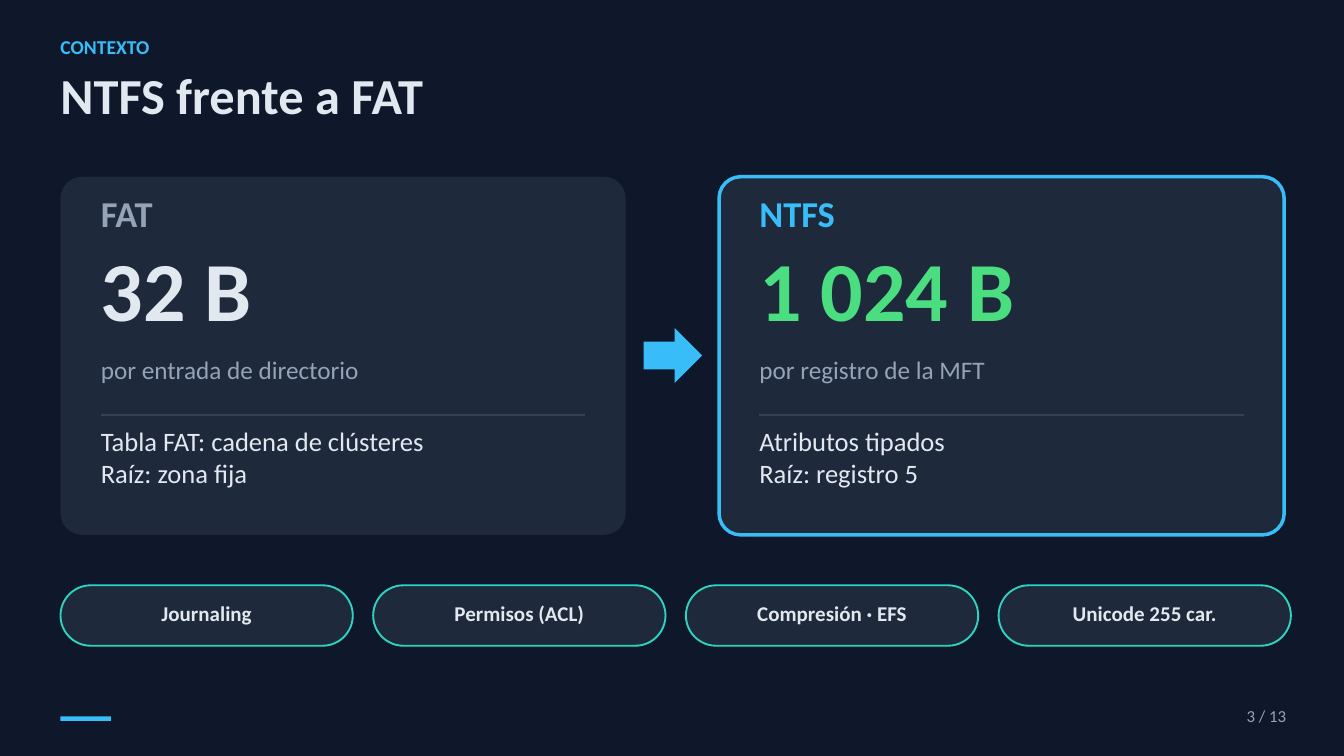
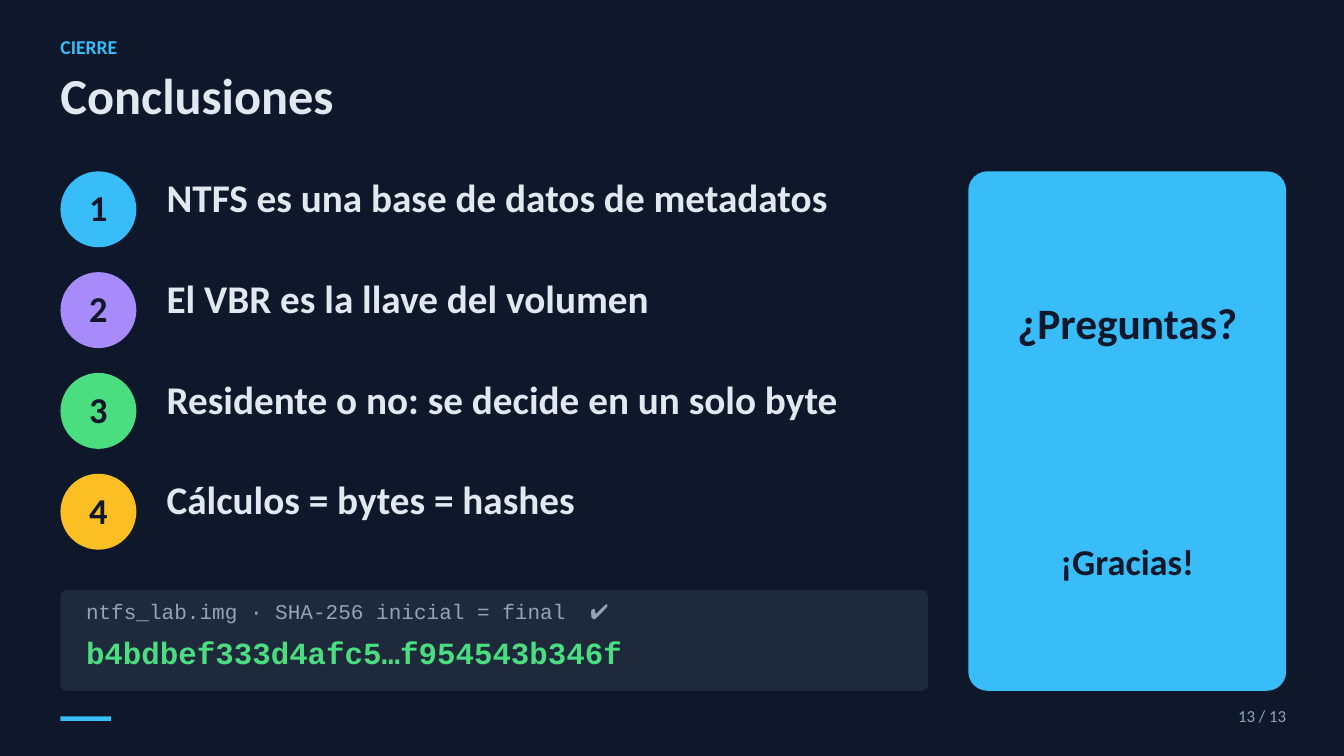
"""Builds two slides on NTFS: the comparison with FAT and the conclusions."""
from dataclasses import dataclass

from lxml import etree
from pptx import Presentation
from pptx import util as u
from pptx.dml.color import RGBColor
from pptx.enum import shapes, text
from pptx.oxml.ns import qn

COMPARISON = {
    "section": "CONTEXTO",
    "title": "NTFS frente a FAT",
    "page": "3 / 13",
    "systems": [
        {"name": "FAT", "size": "32 B", "unit": "por entrada de directorio",
         "traits": ["Tabla FAT: cadena de clústeres", "Raíz: zona fija"],
         "name_color": "muted", "size_color": "ink", "outline": None},
        {"name": "NTFS", "size": "1 024 B", "unit": "por registro de la MFT",
         "traits": ["Atributos tipados", "Raíz: registro 5"],
         "name_color": "sky", "size_color": "green", "outline": "sky"},
    ],
    "features": ["Journaling", "Permisos (ACL)", "Compresión · EFS", "Unicode 255 car."],
}
CLOSING = {
    "section": "CIERRE",
    "title": "Conclusiones",
    "page": "13 / 13",
    "conclusions": [
        ("NTFS es una base de datos de metadatos", "sky"),
        ("El VBR es la llave del volumen", "violet"),
        ("Residente o no: se decide en un solo byte", "green"),
        ("Cálculos = bytes = hashes", "amber"),
    ],
    "check": "ntfs_lab.img · SHA-256 inicial = final\t✔",
    "hash": "b4bdbef333d4afc5…f954543b346f",
    "questions": "¿Preguntas?",
    "thanks": "¡Gracias!",
}


@dataclass(frozen=True)
class Theme:
    night: str = "0F172A"
    panel: str = "1E293B"
    rule: str = "334155"
    ink: str = "E2E8F0"
    muted: str = "94A3B8"
    sky: str = "38BDF8"
    green: str = "4ADE80"
    violet: str = "A78BFA"
    amber: str = "FBBF24"
    teal: str = "2DD4BF"
    sans: str = "Calibri"
    mono: str = "Courier New"
    page: float = 18
    section: float = 21
    label: float = 22.5
    unit: float = 27
    trait: float = 28.5
    hash: float = 33
    heading: float = 39
    conclusion: float = 42
    questions: float = 46.5
    title: float = 54
    figure: float = 90
    leading: float = 1.2
    corner: float = 0.06


THEME = Theme()
WIDTH, HEIGHT = 2000, 1125
LEFT, RIGHT = 90, 1914
KINDS = shapes.MSO_SHAPE
ALIGN = text.PP_ALIGN


def px(length):
    return u.Emu(round(length * 9144))


def rgb(color):
    return RGBColor.from_string(getattr(THEME, color))


def write(frame, lines, size, color, bold=False, align=ALIGN.LEFT, font=THEME.sans):
    frame.word_wrap = True
    points = getattr(THEME, size)
    for index, line in enumerate(lines):
        paragraph = frame.paragraphs[0] if index == 0 else frame.add_paragraph()
        paragraph.alignment = align
        paragraph.line_spacing = u.Pt(points * THEME.leading)
        run = paragraph.add_run()
        run.text = line
        run.font.name = font
        run.font.size = u.Pt(points)
        run.font.bold = bold
        run.font.color.rgb = rgb(color)


def set_margins(frame, left, top, right, bottom):
    frame.margin_left, frame.margin_top = px(left), px(top)
    frame.margin_right, frame.margin_bottom = px(right), px(bottom)


def add_text(slide, box, lines, size, color, **style):
    frame = slide.shapes.add_textbox(*map(px, box)).text_frame
    set_margins(frame, 0, 0, 0, 0)
    write(frame, lines, size, color, **style)
    return frame


def add_block(slide, kind, box, fill, outline=None, weight=0, corner=None):
    block = slide.shapes.add_shape(kind, *map(px, box))
    block.shadow.inherit = False
    block.fill.solid()
    block.fill.fore_color.rgb = rgb(fill)
    if outline:
        block.line.color.rgb = rgb(outline)
        block.line.width = u.Pt(weight)
    else:
        block.line.fill.background()
    if corner is not None:
        block.adjustments[0] = corner
    return block


def add_panel(slide, box, fill, outline=None, weight=0):
    add_block(slide, KINDS.ROUNDED_RECTANGLE, box, fill, outline, weight, THEME.corner)


def write_centred(block, label, size, color):
    frame = block.text_frame
    frame.vertical_anchor = text.MSO_ANCHOR.MIDDLE
    set_margins(frame, 6, 0, 6, 6)
    write(frame, [label], size, color, bold=True, align=ALIGN.CENTER)


def add_rule(slide, left, right, y):
    rule = slide.shapes.add_connector(
        shapes.MSO_CONNECTOR.STRAIGHT, px(left), px(y), px(right), px(y))
    rule.line.color.rgb = rgb("rule")
    rule.line.width = u.Pt(2)
    etree.SubElement(rule._element.spPr, qn("a:effectLst"))


def add_tab(paragraph, position):
    tabs = etree.SubElement(paragraph._p.get_or_add_pPr(), qn("a:tabLst"))
    etree.SubElement(tabs, qn("a:tab"), pos=str(px(position)), algn="l")


def start_slide(deck, content):
    slide = deck.slides.add_slide(deck.slide_layouts[6])
    add_text(slide, (LEFT, 52, 1351, 50), [content["section"]], "section", "sky", bold=True)
    add_text(slide, (LEFT, 96, 1816, 133), [content["title"]], "title", "ink", bold=True)
    add_text(slide, (1681, 1050, RIGHT - 1681, 49), [content["page"]], "page", "muted",
             align=ALIGN.RIGHT)
    add_block(slide, KINDS.RECTANGLE, (LEFT, 1066, 75, 7), "sky")
    return slide


def add_system(slide, left, system):
    add_panel(slide, (left, 263, 841, 533), "panel", system["outline"], 3.75)
    inner = left + 60
    add_text(slide, (inner, 284, 600, 83), [system["name"]], "heading",
             system["name_color"], bold=True)
    add_text(slide, (inner, 354, 751, 171), [system["size"]], "figure",
             system["size_color"], bold=True)
    add_text(slide, (inner, 527, 751, 66), [system["unit"]], "unit", "muted")
    add_rule(slide, inner, inner + 721, 617)
    add_text(slide, (inner, 632, 751, 141), system["traits"], "trait", "ink")


def build_comparison(deck):
    slide = start_slide(deck, COMPARISON)
    for index, system in enumerate(COMPARISON["systems"]):
        add_system(slide, LEFT + index * 980, system)
    add_block(slide, KINDS.RIGHT_ARROW, (958, 488, 87, 82), "sky")

    features = COMPARISON["features"]
    pill_width, pills_right = 435, 1921
    pitch = (pills_right - pill_width - LEFT) / (len(features) - 1)
    for index, feature in enumerate(features):
        pill = add_block(slide, KINDS.ROUNDED_RECTANGLE,
                         (LEFT + index * pitch, 871, pill_width, 90),
                         "panel", "teal", 2, 0.5)
        write_centred(pill, feature, "label", "ink")


def build_closing(deck):
    slide = start_slide(deck, CLOSING)
    top, bottom, pitch, diameter = 255, 1028, 150, 113
    for index, (conclusion, color) in enumerate(CLOSING["conclusions"]):
        y = top + index * pitch
        badge = add_block(slide, KINDS.OVAL, (LEFT, y, diameter, diameter), color)
        write_centred(badge, str(index + 1), "heading", "night")
        add_text(slide, (248, y + 3, 1150, 99), [conclusion], "conclusion", "ink", bold=True)

    add_panel(slide, (LEFT, 878, 1291, bottom - 878), "panel")
    check = add_text(slide, (128, 890, 1231, 59), [CLOSING["check"]], "label", "muted",
                     font=THEME.mono)
    add_tab(check.paragraphs[0], 750)
    add_text(slide, (128, 943, 1231, 75), [CLOSING["hash"]], "hash", "green", bold=True,
             font=THEME.mono)

    aside, aside_width = 1441, RIGHT - 1441
    add_panel(slide, (aside, top, aside_width, bottom - top), "sky")
    for part, y, height, size in (("questions", 440, 191, "questions"),
                                  ("thanks", 802, 98, "heading")):
        add_text(slide, (aside, y, aside_width, height), [CLOSING[part]], size, "night",
                 bold=True, align=ALIGN.CENTER)


def main():
    deck = Presentation()
    deck.slide_width, deck.slide_height = px(WIDTH), px(HEIGHT)
    backdrop = deck.slide_master.background.fill
    backdrop.solid()
    backdrop.fore_color.rgb = rgb("night")
    build_comparison(deck)
    build_closing(deck)
    deck.save("out.pptx")


if __name__ == "__main__":
    main()
